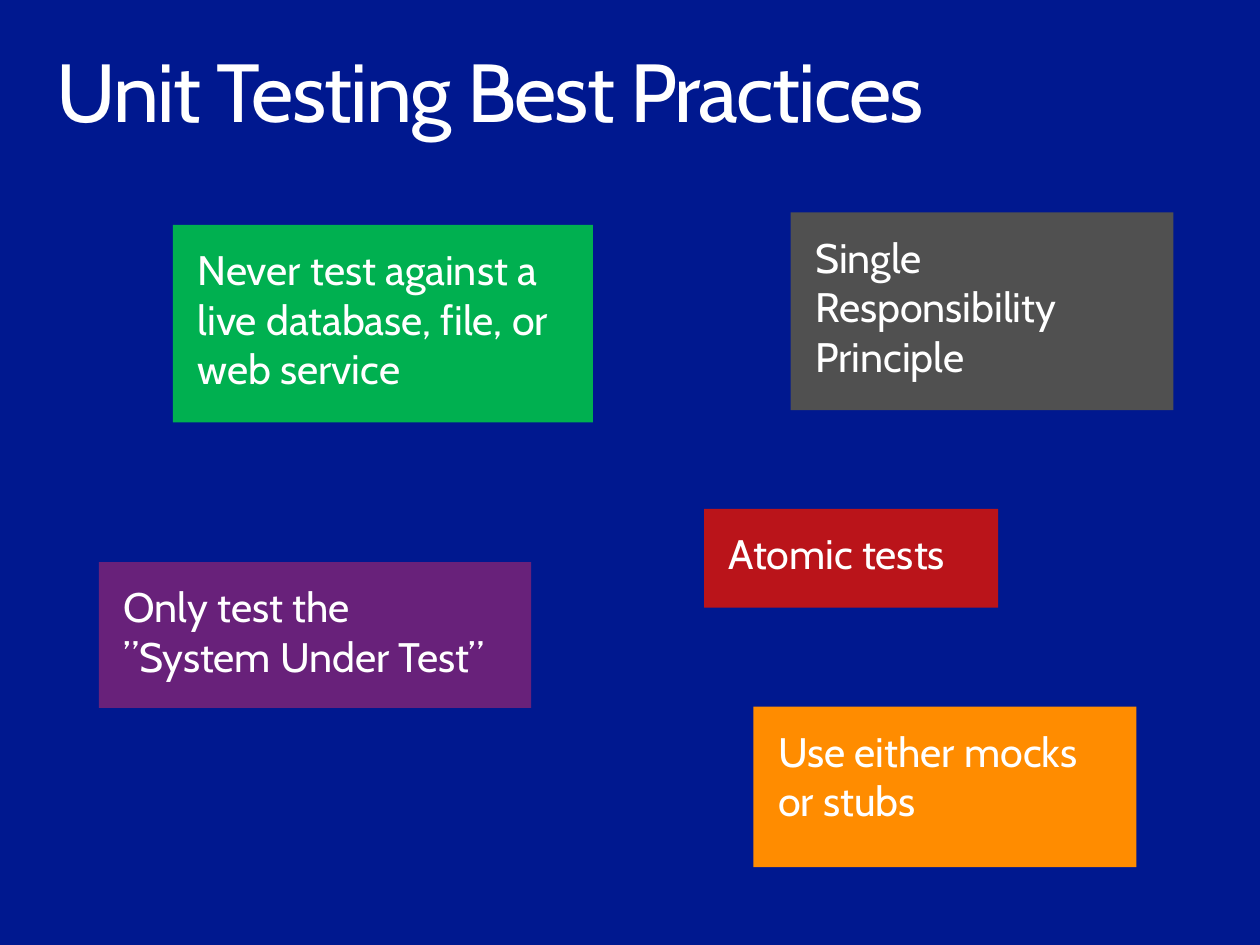
from dataclasses import dataclass

from pptx import Presentation, util as u
from pptx.dml import color
from pptx.enum import shapes, text

FONT = "Cabin"
NAVY = "00188F"
WHITE = "FFFFFF"


@dataclass
class Card:
    left: float
    top: float
    width: float
    height: float
    fill: str
    lines: tuple[str, ...]


CARDS = [
    Card(6.1, 5.72, 3.1, 1.3, "FF8C00", ("Use either mocks or stubs",)),
    Card(0.8, 4.55, 3.5, 1.18, "68217A",
         ("Only test the", "”System Under Test”")),
    Card(6.4, 1.72, 3.1, 1.6, "505050", ("Single Responsibility Principle",)),
    Card(1.4, 1.82, 3.4, 1.6, "00B050",
         ("Never test against a live database, file, or web service",)),
    Card(5.7, 4.12, 2.38, 0.8, "BA141A", ("Atomic tests",)),
]


def paint(fill, shade: str) -> None:
    fill.solid()
    fill.fore_color.rgb = color.RGBColor.from_string(shade)


def write(shape, lines: tuple[str, ...], size: int,
          side: float, edge: float) -> None:
    frame = shape.text_frame
    frame.word_wrap = True
    frame.vertical_anchor = text.MSO_ANCHOR.TOP
    frame.margin_left = frame.margin_right = u.Inches(side)
    frame.margin_top = frame.margin_bottom = u.Inches(edge)
    for i, line in enumerate(lines):
        para = frame.add_paragraph() if i else frame.paragraphs[0]
        para.alignment = text.PP_ALIGN.LEFT
        run = para.add_run()
        run.text = line
        run.font.name = FONT
        run.font.size = u.Pt(size)
        paint(run.font.fill, WHITE)


def add_title(slide, words: str) -> None:
    box = slide.shapes.add_textbox(
        u.Inches(0.3), u.Inches(0.32), u.Inches(9.6), u.Inches(1))
    write(box, (words,), 48, 0.16, 0.1)
    para = box.text_frame.paragraphs[0]
    para.line_spacing = 0.9
    # Tighten the letters by one point
    para.runs[0].font._element.set("spc", "-100")


def add_card(slide, card: Card) -> None:
    box = slide.shapes.add_shape(
        shapes.MSO_SHAPE.RECTANGLE, u.Inches(card.left), u.Inches(card.top),
        u.Inches(card.width), u.Inches(card.height))
    box.shadow.inherit = False
    box.line.fill.background()
    paint(box.fill, card.fill)
    write(box, card.lines, 24, 0.2, 0.16)


def main() -> None:
    deck = Presentation()
    deck.slide_width = u.Inches(10.2)
    deck.slide_height = u.Inches(7.65)
    slide = deck.slides.add_slide(deck.slide_layouts[6])
    paint(slide.background.fill, NAVY)

    # Heading
    add_title(slide, "Unit Testing Best Practices")

    # Practice cards
    for card in CARDS:
        add_card(slide, card)

    deck.save("out.pptx")


if __name__ == "__main__":
    main()
